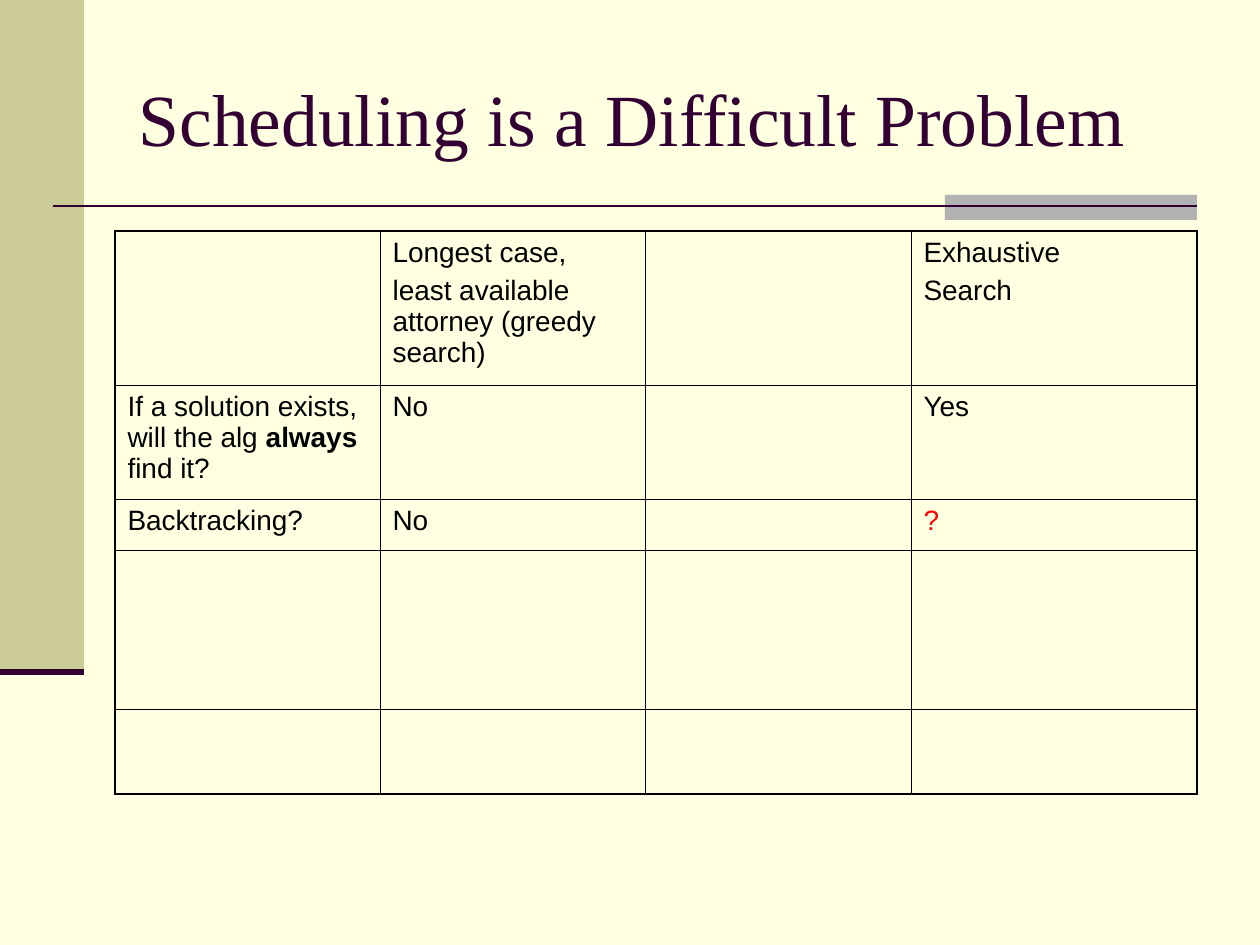
from lxml.etree import SubElement
from pptx import Presentation
from pptx.dml.color import RGBColor
from pptx.enum.shapes import MSO_CONNECTOR, MSO_SHAPE
from pptx.enum.text import MSO_ANCHOR, PP_ALIGN
from pptx.oxml import parse_xml
from pptx.oxml.ns import nsdecls, qn
from pptx.util import Emu, Pt

CREAM = RGBColor(0xFF, 0xFF, 0xE1)
KHAKI = RGBColor(0xCC, 0xCC, 0x99)
GRAY = RGBColor(0xB2, 0xB2, 0xB2)
PLUM = RGBColor(0x33, 0x00, 0x33)
BLACK = RGBColor(0x00, 0x00, 0x00)
RED = RGBColor(0xFF, 0x00, 0x00)

TITLE = "Scheduling is a Difficult Problem"
COLUMNS = [265, 265, 266, 286]
ROWS = [154, 114, 51, 159, 85]
CELLS = {
    (0, 1): [["Longest case,"], ["least available attorney (greedy search)"]],
    (0, 3): [["Exhaustive"], ["Search"]],
    (1, 0): [["If a solution exists, will the alg ", ("always", {"bold": True}), " find it?"]],
    (1, 1): [["No"]],
    (1, 3): [["Yes"]],
    (2, 0): [["Backtracking?"]],
    (2, 1): [["No"]],
    (2, 3): [[("?", {"color": RED})]],
}


def px(length):
    return Emu(round(length * 914400 / 126))


def set_values(target, values):
    for name, value in values.items():
        if name == "color":
            target.color.rgb = value
        else:
            setattr(target, name, value)


class SlideBuilder:
    title_font = {"name": "Times New Roman", "size": Pt(42), "color": PLUM, "bold": False}
    cell_font = {"name": "Arial", "size": Pt(16), "color": BLACK, "bold": False}
    thin, thick = Pt(0.45), Pt(1.08)

    def __init__(self, page):
        self.page = page
        page.background.fill.solid()
        page.background.fill.fore_color.rgb = CREAM

    def rectangle(self, left, top, width, height, color):
        box = self.page.shapes.add_shape(
            MSO_SHAPE.RECTANGLE, px(left), px(top), px(width), px(height))
        box.shadow.inherit = False
        box.fill.solid()
        box.fill.fore_color.rgb = color
        box.line.fill.background()

    def rule(self, left, right, top, weight):
        line = self.page.shapes.add_connector(
            MSO_CONNECTOR.STRAIGHT, px(left), px(top), px(right), px(top))
        set_values(line.line, {"color": PLUM, "width": Pt(weight)})
        SubElement(line._element.spPr, qn("a:effectLst"))

    def title(self, text, left, top, width, height):
        box = self.page.shapes.title
        set_values(box, {"left": px(left), "top": px(top),
                         "width": px(width), "height": px(height)})
        set_values(box.text_frame, {"vertical_anchor": MSO_ANCHOR.MIDDLE, "word_wrap": True})
        para = box.text_frame.paragraphs[0]
        para.alignment = PP_ALIGN.LEFT
        span = para.add_run()
        span.text = text
        set_values(span.font, self.title_font)

    def cell_text(self, cell, paragraphs):
        frame = cell.text_frame
        for index, spans in enumerate(paragraphs):
            para = frame.add_paragraph() if index else frame.paragraphs[0]
            if index:
                para.space_before = Pt(4)
            for item in spans:
                text, changes = (item, {}) if isinstance(item, str) else item
                span = para.add_run()
                span.text = text
                set_values(span.font, self.cell_font | changes)

    def cell_borders(self, cell, outer_sides):
        properties = cell._tc.get_or_add_tcPr()
        for index, side in enumerate("LRTB"):
            width = self.thick if side in outer_sides else self.thin
            properties.insert(index, parse_xml(
                f'<a:ln{side} {nsdecls("a")} w="{width}"><a:solidFill>'
                f'<a:srgbClr val="{BLACK}"/></a:solidFill></a:ln{side}>'))

    def table(self, left, top, columns, rows, contents):
        grid = self.page.shapes.add_table(
            len(rows), len(columns), px(left), px(top), px(sum(columns)), px(sum(rows))).table
        set_values(grid, {"first_row": False, "horz_banding": False})
        for column, width in zip(grid.columns, columns):
            column.width = px(width)
        for r, height in enumerate(rows):
            grid.rows[r].height = px(height)
            for c in range(len(columns)):
                cell = grid.cell(r, c)
                cell.fill.background()
                edges = {"L": c == 0, "R": c == len(columns) - 1,
                         "T": r == 0, "B": r == len(rows) - 1}
                self.cell_borders(cell, [side for side, outer in edges.items() if outer])
                self.cell_text(cell, contents.get((r, c), []))


def main():
    deck = Presentation()
    set_values(deck, {"slide_width": px(1260), "slide_height": px(945)})
    slide = SlideBuilder(deck.slides.add_slide(deck.slide_layouts[5]))
    slide.rectangle(0, 0, 84, 672, KHAKI)
    slide.rectangle(945, 195, 252, 25, GRAY)
    slide.rule(53, 1197, 206, 1.5)
    slide.rule(0, 84, 672, 3.5)
    slide.title(TITLE, 126, 38, 1071, 158)
    slide.table(115, 231, COLUMNS, ROWS, CELLS)
    deck.save("out.pptx")


if __name__ == "__main__":
    main()
